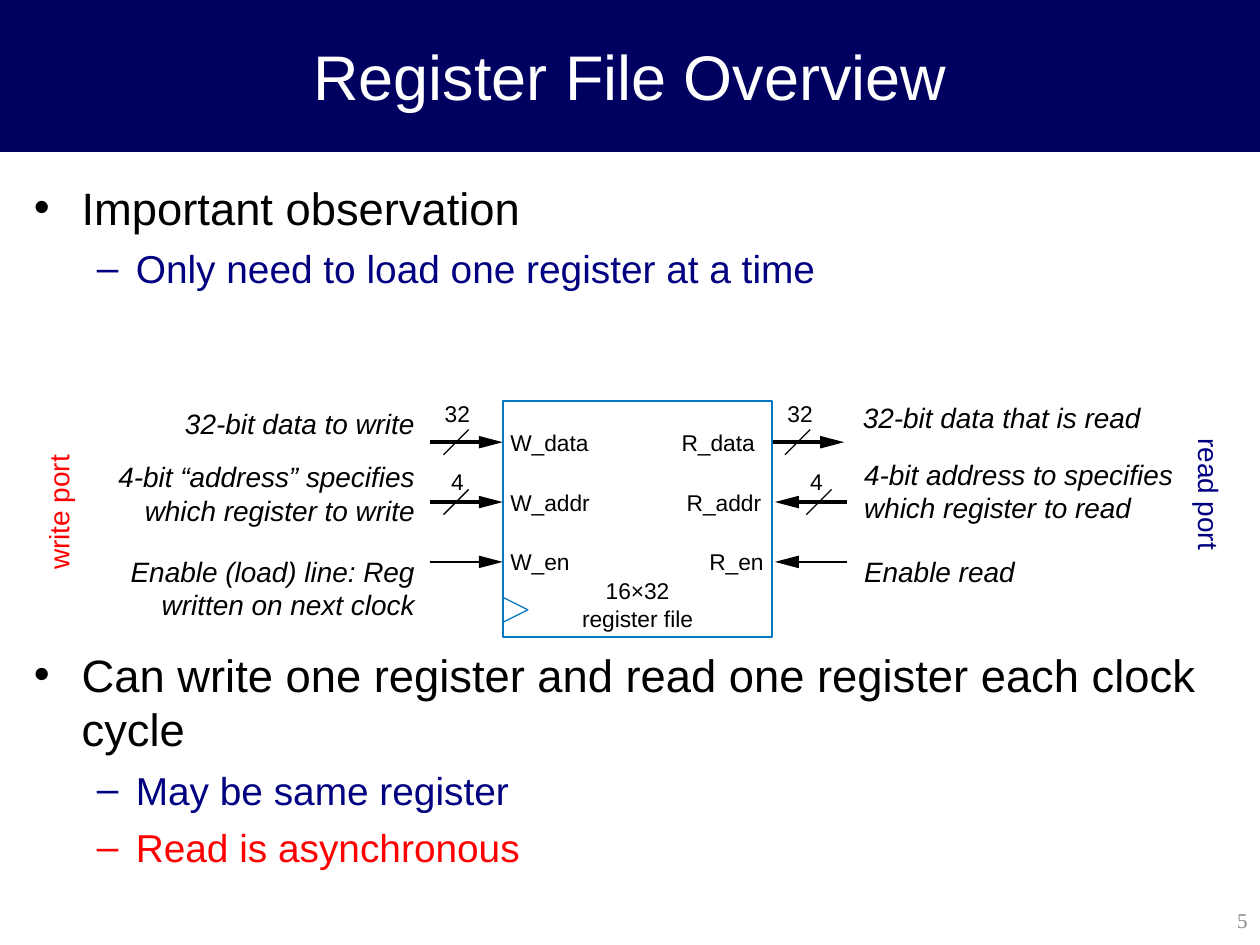
from dataclasses import dataclass
from typing import Optional

from lxml.etree import SubElement
from pptx import Presentation
from pptx.dml.color import RGBColor
from pptx.enum.shapes import MSO_CONNECTOR as Connector, MSO_SHAPE as Shape
from pptx.enum.text import MSO_ANCHOR as Anchor, PP_ALIGN as Align
from pptx.oxml.ns import qn
from pptx.util import Inches, Pt

NAVY = RGBColor(0x00, 0x00, 0x60)
BLUE = RGBColor(0x00, 0x00, 0x80)
RED = RGBColor(0xFF, 0x00, 0x00)
BLACK = RGBColor(0x00, 0x00, 0x00)
WHITE = RGBColor(0xFF, 0xFF, 0xFF)
GRAY = RGBColor(0x89, 0x89, 0x89)
OUTLINE = RGBColor(0x00, 0x78, 0xC1)

# Diagram grid, in inches
FIRST_ROW, ROW_PITCH = 3.51, 0.475
BLOCK_LEFT, BLOCK_TOP, BLOCK_WIDTH, BLOCK_HEIGHT = 3.99, 3.18, 2.14, 1.88
HEAD_LENGTH, HEAD_HALF = 0.19, 0.05
SLASH_HALF = 0.1
LABEL_WIDTH, LABEL_HEIGHT = 0.7, 0.22

PIN_FORMAT = {"name": "Arial", "size": Pt(13)}
CAPTION_FORMAT = {"name": "Arial", "size": Pt(16)}


@dataclass
class Bullet:
    text: str
    level: int
    color: RGBColor
    before: float


@dataclass
class Bus:
    width: str
    left: float
    top: float
    slash: float


@dataclass
class Pin:
    label: str
    label_left: float
    row: int
    start: float
    tip: float
    weight: float
    bus: Optional[Bus] = None


@dataclass
class Caption:
    text: str
    box: tuple
    align: Align = Align.LEFT
    color: RGBColor = BLACK
    rotation: int = 0


BULLETS = [
    Bullet("Important observation", 0, BLACK, 0),
    Bullet("Only need to load one register at a time", 1, BLUE, 6),
    Bullet("Can write one register and read one register each clock cycle", 0, BLACK, 203),
    Bullet("May be same register", 1, BLUE, 6),
    Bullet("Read is asynchronous", 1, RED, 6),
]
# Per level: size, indent, hanging indent, mark
LEVELS = [(25.9, 0.38, 0.38, "•"), (22.2, 0.81, 0.31, "–")]

PINS = [
    Pin("W_data", 4.05, 0, 3.41, 3.99, 2.38, Bus("32", 3.53, 3.17, 3.62)),
    Pin("W_addr", 4.05, 1, 3.41, 3.99, 2.38, Bus("4", 3.58, 3.71, 3.62)),
    Pin("W_en", 4.05, 2, 3.41, 3.99, 1.5),
    Pin("R_data", 5.41, 0, 6.13, 6.7, 2.38, Bus("32", 6.25, 3.17, 6.33)),
    Pin("R_addr", 5.45, 1, 6.72, 6.15, 2.38, Bus("4", 6.43, 3.71, 6.5)),
    Pin("R_en", 5.63, 2, 6.72, 6.15, 1.5),
]

CAPTIONS = [
    Caption("32-bit data to write", (1.25, 3.18, 2.14, 0.37), Align.RIGHT),
    Caption("4-bit “address” specifies which register to write", (0.57, 3.6, 2.82, 0.64), Align.RIGHT),
    Caption("Enable (load) line: Reg written on next clock", (0.72, 4.35, 2.67, 0.64), Align.RIGHT),
    Caption("32-bit data that is read", (6.75, 3.13, 2.67, 0.37)),
    Caption("4-bit address to specifies which register to read", (6.76, 3.58, 2.82, 0.64)),
    Caption("Enable read", (6.76, 4.35, 2.67, 0.37)),
    Caption("write port", (-0.09, 3.88, 1.11, 0.37), color=RED, rotation=270),
    Caption("read port", (9.05, 3.74, 1.09, 0.37), color=BLUE, rotation=90),
]


def set_format(target, values: dict) -> None:
    for name, value in values.items():
        setattr(target, name, value)


def write(paragraph, text: str, color: RGBColor, values: dict) -> None:
    run = paragraph.add_run()
    run.text = text
    run.font.color.rgb = color
    set_format(run.font, values)


def add_text(slide, text: str, box: tuple, values: dict, color=BLACK,
             align=Align.LEFT, margins=True, wrap=True, anchor=Anchor.TOP):
    shape = slide.shapes.add_textbox(*map(Inches, box))
    frame = shape.text_frame
    set_format(frame, {"word_wrap": wrap, "vertical_anchor": anchor})
    if not margins:
        set_format(frame, {f"margin_{side}": 0 for side in ("left", "top", "right", "bottom")})
    for i, line in enumerate(text.split("\n")):
        paragraph = frame.add_paragraph() if i else frame.paragraphs[0]
        paragraph.alignment = align
        write(paragraph, line, color, values)
    return shape


def add_line(slide, start: tuple, end: tuple, weight: float) -> None:
    line = slide.shapes.add_connector(Connector.STRAIGHT, *map(Inches, start + end))
    line.line.color.rgb = BLACK
    line.line.width = Pt(weight)
    SubElement(line._element.spPr, qn("a:effectLst"))


def add_outline(slide, points: list, close: bool):
    start, *rest = [tuple(map(Inches, point)) for point in points]
    builder = slide.shapes.build_freeform(*start)
    builder.add_line_segments(rest, close=close)
    shape = builder.convert_to_shape()
    shape.shadow.inherit = False
    return shape


def set_stroke(shape, color: RGBColor, weight: float) -> None:
    shape.fill.background()
    shape.line.color.rgb = color
    shape.line.width = Pt(weight)


def add_pin(slide, pin: Pin) -> None:
    y = FIRST_ROW + pin.row * ROW_PITCH
    back = -1 if pin.tip > pin.start else 1
    add_line(slide, (pin.start, y), (pin.tip + back * 0.17, y), pin.weight)
    base = pin.tip + back * HEAD_LENGTH
    head = add_outline(slide, [(pin.tip, y), (base, y - HEAD_HALF), (base, y + HEAD_HALF)], True)
    head.fill.solid()
    head.fill.fore_color.rgb = BLACK
    head.line.fill.background()
    add_text(slide, pin.label, (pin.label_left, y - 0.11, LABEL_WIDTH, LABEL_HEIGHT),
             PIN_FORMAT, margins=False)
    if pin.bus:
        bus = pin.bus
        add_line(slide, (bus.slash + SLASH_HALF, y - SLASH_HALF),
                 (bus.slash - SLASH_HALF, y + SLASH_HALF), 0.75)
        add_text(slide, bus.width, (bus.left, bus.top, 0.15 * len(bus.width), LABEL_HEIGHT),
                 PIN_FORMAT, margins=False)


def add_block(slide) -> None:
    block = slide.shapes.add_shape(Shape.RECTANGLE, *map(
        Inches, (BLOCK_LEFT, BLOCK_TOP, BLOCK_WIDTH, BLOCK_HEIGHT)))
    block.shadow.inherit = False
    set_stroke(block, OUTLINE, 1.13)
    clock = add_outline(slide, [(BLOCK_LEFT, 4.94), (BLOCK_LEFT + 0.2, 4.84), (BLOCK_LEFT, 4.74)], False)
    set_stroke(clock, OUTLINE, 0.75)
    add_text(slide, "16×32\nregister file", (4.56, 4.58, 1, 2 * LABEL_HEIGHT),
             PIN_FORMAT, align=Align.CENTER, margins=False)


def add_title(slide, width: int) -> None:
    bar = slide.shapes.add_shape(Shape.RECTANGLE, 0, 0, width, Inches(1.2))
    bar.shadow.inherit = False
    bar.fill.solid()
    bar.fill.fore_color.rgb = bar.line.color.rgb = NAVY
    bar.line.width = Pt(0.75)
    title = bar.text_frame.paragraphs[0]
    title.alignment = Align.CENTER
    write(title, "Register File Overview", WHITE, {"name": "Arial", "size": Pt(36)})


def add_bullets(slide) -> None:
    frame = slide.shapes.add_textbox(*map(Inches, (0.17, 1.38, 9.66, 5.72))).text_frame
    frame.word_wrap = True
    for i, bullet in enumerate(BULLETS):
        size, indent, hanging, mark = LEVELS[bullet.level]
        paragraph = frame.add_paragraph() if i else frame.paragraphs[0]
        set_format(paragraph, {"level": bullet.level, "space_before": Pt(bullet.before)})
        props = paragraph._p.get_or_add_pPr()
        props.set("marL", str(Inches(indent)))
        props.set("indent", str(-Inches(hanging)))
        SubElement(SubElement(props, qn("a:buClr")), qn("a:srgbClr"), val=str(bullet.color))
        SubElement(props, qn("a:buFont"), typeface="Arial")
        SubElement(props, qn("a:buChar"), char=mark)
        write(paragraph, bullet.text, bullet.color, {"name": "Arial", "size": Pt(size)})


def main() -> None:
    deck = Presentation()
    set_format(deck, {"slide_width": Inches(10), "slide_height": Inches(7.5)})
    slide = deck.slides.add_slide(deck.slide_layouts[6])
    add_title(slide, deck.slide_width)
    add_bullets(slide)
    add_text(slide, "5", (7.88, 7.1, 2.12, 0.4), {"name": "Times New Roman", "size": Pt(12)},
             GRAY, Align.RIGHT, anchor=Anchor.MIDDLE)
    for pin in PINS:
        add_pin(slide, pin)
    add_block(slide)
    for caption in CAPTIONS:
        upright = caption.rotation == 0
        shape = add_text(slide, caption.text, caption.box, {**CAPTION_FORMAT, "italic": upright},
                         caption.color, caption.align, wrap=upright)
        shape.rotation = caption.rotation
    deck.save("out.pptx")


if __name__ == "__main__":
    main()
